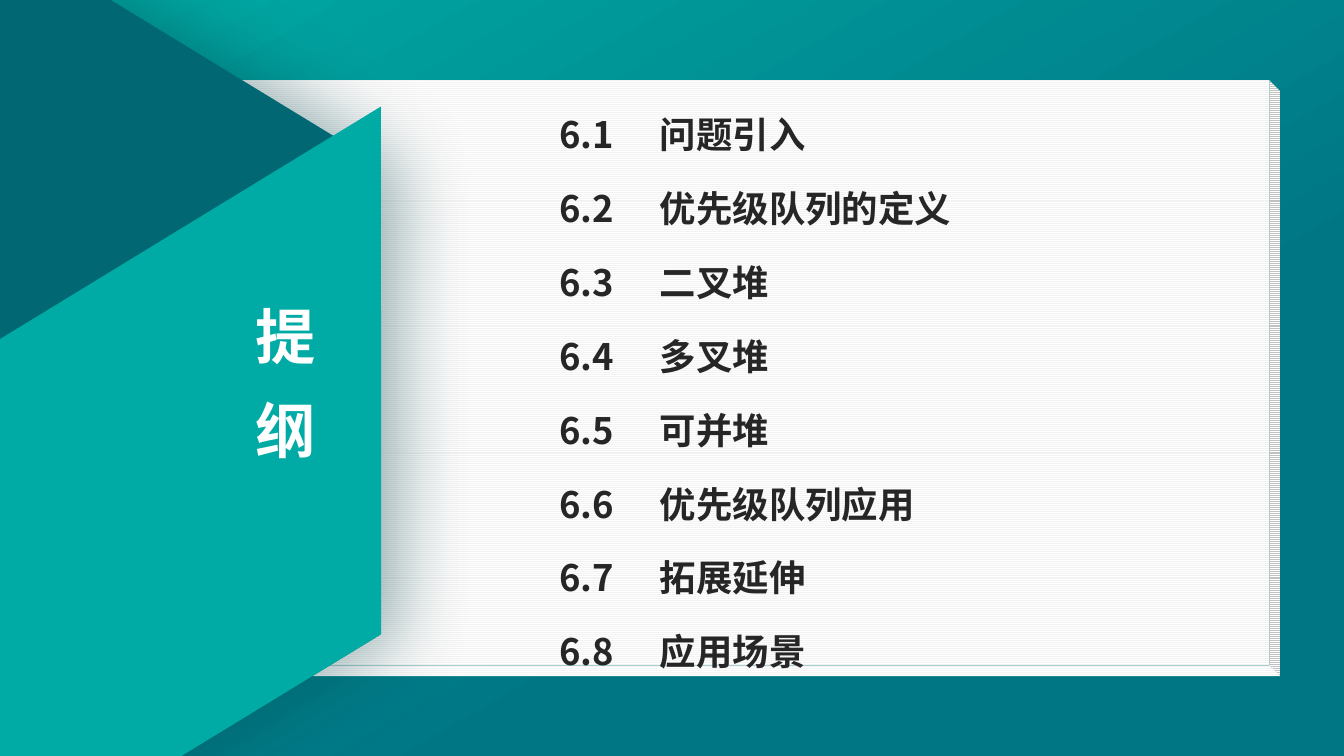
from lxml.etree import SubElement
from pptx import Presentation
from pptx.dml.color import RGBColor
from pptx.enum.dml import MSO_PATTERN as Pattern
from pptx.enum.shapes import MSO_SHAPE as Shape
from pptx.enum.text import MSO_ANCHOR as Anchor, MSO_AUTO_SIZE as Fit, PP_ALIGN as Align
from pptx.oxml.ns import qn
from pptx.util import Cm, Pt

FONT = "Noto Sans CJK SC"
WHITE = RGBColor(0xFF, 0xFF, 0xFF)
PALE = RGBColor(0xF2, 0xF2, 0xF2)
INK = RGBColor(0x26, 0x26, 0x26)
TEAL = RGBColor(0x00, 0xAB, 0xA5)
DEEP = RGBColor(0x00, 0x76, 0x84)
DARK = RGBColor(0x01, 0x67, 0x73)
SHADE = RGBColor(0x01, 0x3F, 0x45)
BLACK = RGBColor(0, 0, 0)

TOPICS = ["问题引入", "优先级队列的定义", "二叉堆", "多叉堆",
          "可并堆", "优先级队列应用", "拓展延伸", "应用场景"]


def blend(fill, angle, stops):
    """Fill with a two-stop gradient, its angle measured clockwise."""
    fill.gradient()
    fill.gradient_angle = 360 - angle
    for stop, (place, color) in zip(fill.gradient_stops, stops):
        stop.position = place
        stop.color.rgb = color


def add_shadow(effects, color, alpha, blur, dist, angle):
    """Put an outer shadow in an effect list: percent, points, degrees."""
    outer = SubElement(effects, qn("a:outerShdw"), blurRad=str(Pt(blur)),
                       dist=str(Pt(dist)), dir=str(angle * 60000),
                       algn="ctr", rotWithShape="0")
    tint = SubElement(outer, qn("a:srgbClr"), val=str(color))
    SubElement(tint, qn("a:alpha"), val=str(alpha * 1000))


deck = Presentation()
deck.slide_width, deck.slide_height = Cm(33.87), Cm(19.05)
slide = deck.slides.add_slide(deck.slide_layouts[1])
shapes = slide.shapes
blend(slide.background.fill, 60, [(0, TEAL), (0.67, DEEP)])

# Paper stack, dark wedge and bright band
parts = []
for kind, left, top, width, height, turn, adjust in [
        (Shape.CUBE, 0, 2.03, 32.26, 15.01, 0, 0.018),
        (Shape.HEXAGON, -15.77, -2.01, 26.57, 24.16, 90, 0.305),
        (Shape.PARALLELOGRAM, -6.96, 7.34, 21.06, 11.35, 328.6, 0.61)]:
    part = shapes.add_shape(kind, Cm(left), Cm(top), Cm(width), Cm(height))
    part.rotation = turn
    part.adjustments[0] = adjust
    part.line.fill.background()
    part.shadow.inherit = False
    parts.append(part)
paper, wedge, band = parts

paper._element.spPr.find(qn("a:xfrm")).set("flipV", "1")
paper.fill.patterned()
paper.fill.pattern = Pattern.LIGHT_HORIZONTAL
paper.fill.fore_color.rgb = PALE
paper.fill.back_color.rgb = WHITE

blend(wedge.fill, 90, [(0.77, DARK), (1, DEEP)])
add_shadow(wedge._element.spPr.find(qn("a:effectLst")), SHADE, 40, 55, 13, 0)

band.fill.solid()
band.fill.fore_color.rgb = TEAL

# Title and list, in front of the shapes
title, body = shapes.title, slide.placeholders[1]
for box, left, top, width, height, inset, lines, size, pitch, gap, color in [
        (title, 5.95, 7, 2.5, 4.8, 0, ["提", "纲"], 43, 67, 0, WHITE),
        (body, 13.84, 2.27, 10.74, 14.7, 0.25,
         [f"6.{n}\t{topic}" for n, topic in enumerate(TOPICS, 1)],
         26, 46.8, 6, INK)]:
    shapes._spTree.append(box._element)
    box.left, box.top, box.width, box.height = Cm(left), Cm(top), Cm(width), Cm(height)
    frame = box.text_frame
    frame.text = "\n".join(lines)
    frame.word_wrap = True
    frame.auto_size = Fit.NONE
    frame.vertical_anchor = Anchor.TOP
    frame.margin_left = frame.margin_right = Cm(inset)
    frame.margin_top = frame.margin_bottom = 0
    for row, para in enumerate(frame.paragraphs):
        para.alignment = Align.CENTER if box is title else Align.LEFT
        para.line_spacing = Pt(pitch)
        para.space_before = Pt(gap if row else 0)
        para.space_after = Pt(0)
        if box is body:
            props = para._p.get_or_add_pPr()
            props.set("marL", "0")
            props.set("indent", "0")
            SubElement(props, qn("a:buNone"))
            tabs = SubElement(props, qn("a:tabLst"))
            SubElement(tabs, qn("a:tab"), pos=str(Cm(2.22)), algn="l")
        font = para.font
        font.size, font.bold = Pt(size), True
        font.color.rgb = color
        if box is title:
            add_shadow(SubElement(font._rPr, qn("a:effectLst")), BLACK, 43, 3, 3, 45)
        font.name = FONT
        SubElement(font._rPr, qn("a:ea"), typeface=FONT)

deck.save("out.pptx")
